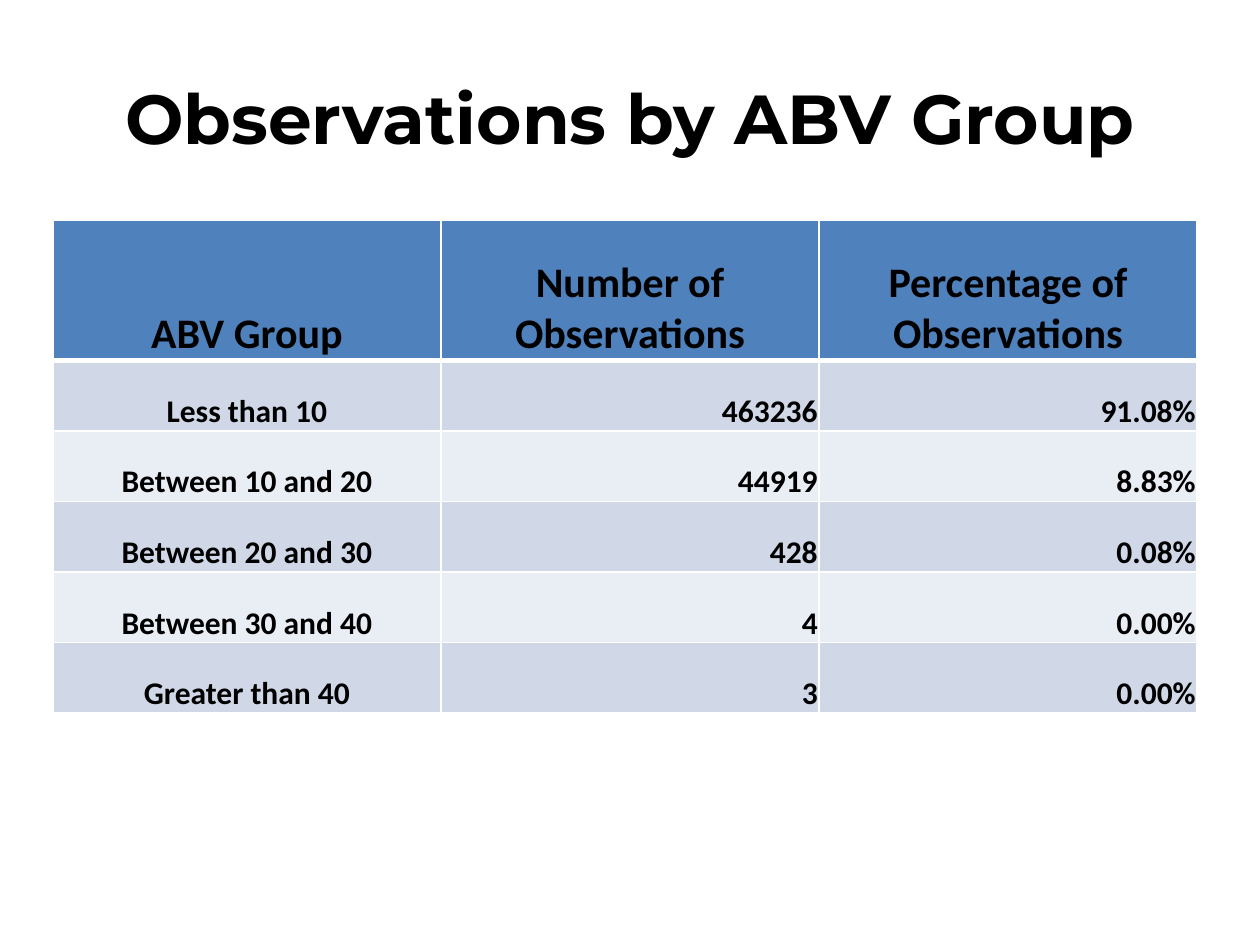
from lxml import etree
from pptx import Presentation
from pptx.dml.color import RGBColor
from pptx.enum.text import MSO_ANCHOR, PP_ALIGN
from pptx.oxml.ns import qn
from pptx.util import Pt

CENTER, RIGHT = PP_ALIGN.CENTER, PP_ALIGN.RIGHT
BOTTOM, MIDDLE = MSO_ANCHOR.BOTTOM, MSO_ANCHOR.MIDDLE
TITLE_ONLY = 5

COLORS = {
    "text": "000000",
    "header": "4F81BD",
    "odd": "D0D8E8",
    "even": "E9EDF4",
    "border": "FFFFFF",
}

ROWS = [
    ("ABV Group", "Number of Observations", "Percentage of Observations"),
    ("Less than 10", "463236", "91.08%"),
    ("Between 10 and 20", "44919", "8.83%"),
    ("Between 20 and 30", "428", "0.08%"),
    ("Between 30 and 40", "4", "0.00%"),
    ("Greater than 40", "3", "0.00%"),
]
COL_WIDTHS = (221.76, 216, 216)
HEADER_HEIGHT, ROW_HEIGHT = 79.92, 40.32


def set_text(tf, text, size, font="Calibri", align=CENTER, bold=True):
    """Write one formatted paragraph into a text frame."""
    p = tf.paragraphs[0]
    p.alignment = align
    r = p.add_run()
    r.text = text
    r.font.size = Pt(size)
    r.font.name = font
    r.font.bold = bold
    r.font.color.rgb = RGBColor.from_string(COLORS["text"])


def set_borders(cell, top=1, bottom=1):
    """Give a cell solid borders, with widths in points."""
    props = cell._tc.get_or_add_tcPr()
    for side, width in (("L", 1), ("R", 1), ("T", top), ("B", bottom)):
        ln = etree.SubElement(props, qn(f"a:ln{side}"), w=str(int(Pt(width))))
        fill = etree.SubElement(ln, qn("a:solidFill"))
        etree.SubElement(fill, qn("a:srgbClr"), val=COLORS["border"])


def add_title(s, text):
    """Place and fill the title placeholder."""
    sp = s.shapes.title
    sp.left, sp.top, sp.width, sp.height = Pt(36), Pt(21.6), Pt(648), Pt(90)
    tf = sp.text_frame
    tf.word_wrap = True
    tf.vertical_anchor = MIDDLE
    set_text(tf, text, 39.6, font="Montserrat")


def format_cell(cell, text, row, col):
    """Fill one table cell according to its row and column."""
    header = row == 0
    cell.margin_left = cell.margin_right = cell.margin_top = Pt(0.75)
    cell.margin_bottom = Pt(0)
    cell.vertical_anchor = BOTTOM
    set_borders(cell, top=3 if row == 1 else 1, bottom=3 if header else 1)
    band = "header" if header else "odd" if row % 2 else "even"
    cell.fill.solid()
    cell.fill.fore_color.rgb = RGBColor.from_string(COLORS[band])
    set_text(cell.text_frame, text, 24 if header else 18,
             align=CENTER if header or col == 0 else RIGHT)


def add_observations_table(s):
    """Add the table of observations by group."""
    heights = [HEADER_HEIGHT] + [ROW_HEIGHT] * (len(ROWS) - 1)
    table = s.shapes.add_table(
        len(ROWS), len(COL_WIDTHS), Pt(30.24), Pt(126),
        Pt(sum(COL_WIDTHS)), Pt(sum(heights))).table
    for column, width in zip(table.columns, COL_WIDTHS):
        column.width = Pt(width)
    for i, (height, texts) in enumerate(zip(heights, ROWS)):
        table.rows[i].height = Pt(height)
        for j, text in enumerate(texts):
            format_cell(table.cell(i, j), text, i, j)


def main():
    """Build and save the slide."""
    prs = Presentation()
    prs.slide_width, prs.slide_height = Pt(720), Pt(540)
    s = prs.slides.add_slide(prs.slide_layouts[TITLE_ONLY])
    add_title(s, "Observations by ABV Group")
    add_observations_table(s)
    prs.save("out.pptx")


main()
